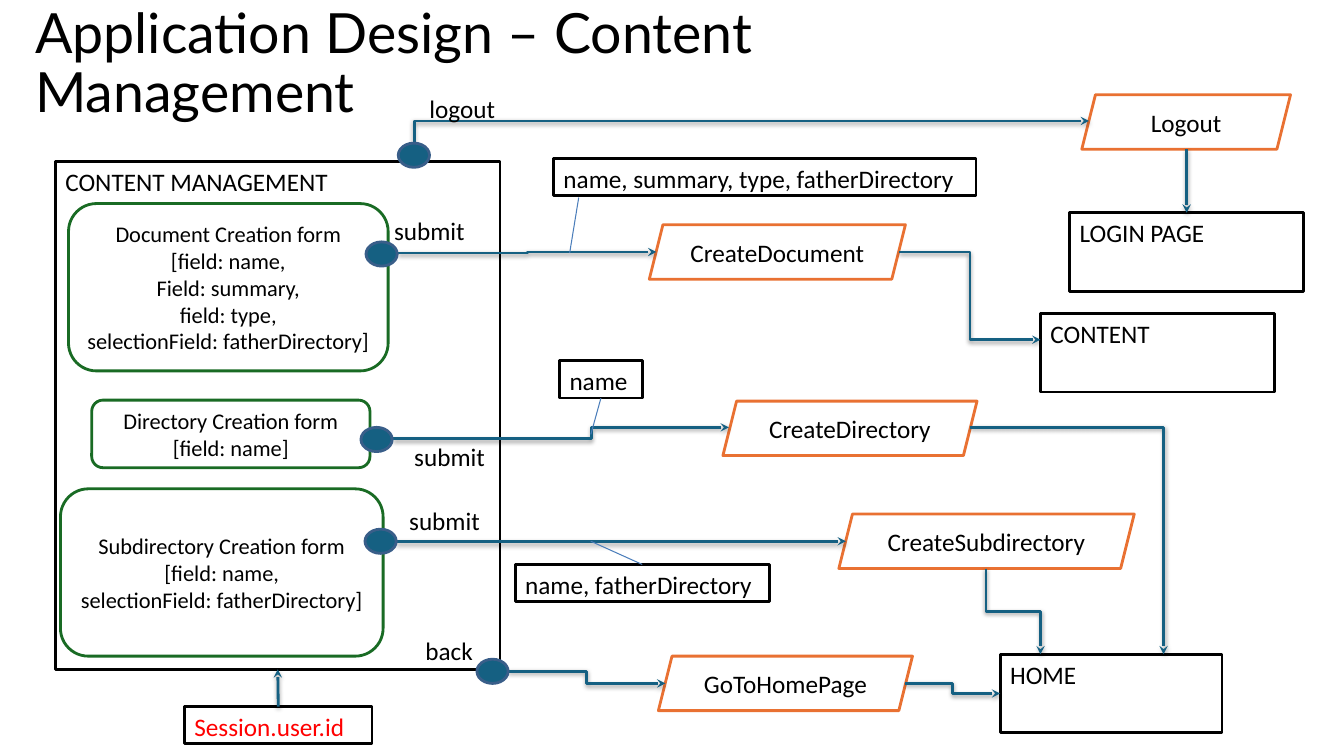
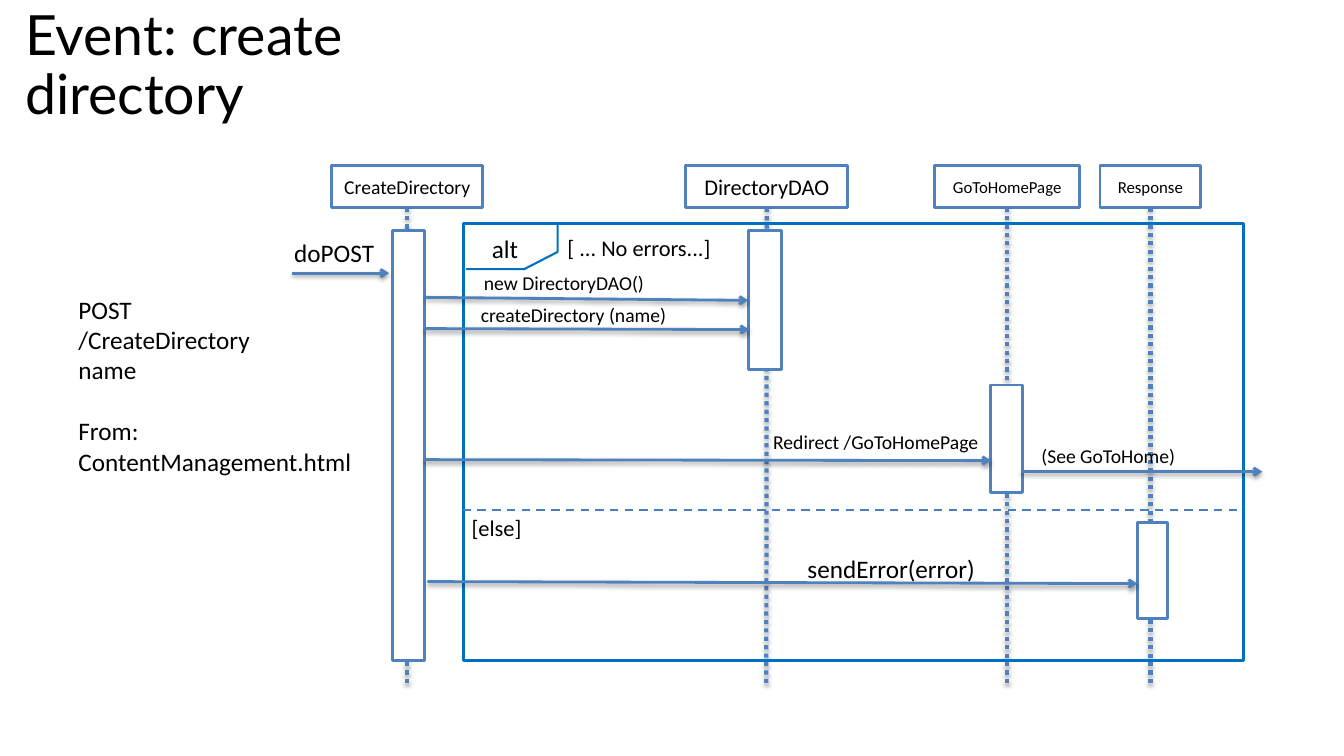
"""Build two design slides: the content management flow and the create directory sequence."""
import dataclasses

import lxml.etree
import pptx
import pptx.dml.color
import pptx.enum.dml
import pptx.enum.shapes
import pptx.enum.text
import pptx.oxml.ns
import pptx.util

PX = 9144
SHAPE = pptx.enum.shapes.MSO_SHAPE
CONNECTOR = pptx.enum.shapes.MSO_CONNECTOR
DASH = pptx.enum.dml.MSO_LINE
ALIGN = pptx.enum.text.PP_ALIGN
ANCHOR = pptx.enum.text.MSO_ANCHOR
TOP, LEFT, BOTTOM = 0, 1, 2


@dataclasses.dataclass(frozen=True)
class Theme:
    white: str = "FFFFFF"
    black: str = "000000"
    red: str = "FF0000"
    green: str = "196B24"
    orange: str = "E97132"
    teal: str = "156082"
    event_edge: str = "395E89"
    callout: str = "4A7DBA"
    blue: str = "4F81BD"
    divider: str = "4B7EBC"
    frame: str = "0070C0"
    title_font: str = "Lato"
    body_font: str = "Calibri"
    title: float = 39.6
    body: int = 18
    form: int = 16
    message: int = 14
    small: int = 12


theme = Theme()
rgb = pptx.dml.color.RGBColor.from_string


def add_text(slide, box, text="", kind=None, fill=None, edge=None, size=theme.body,
             color=theme.black, font=theme.body_font, centered=False, middle=False, spacing=None):
    frame = [value * PX for value in box]
    if kind is None:
        shape = slide.shapes.add_textbox(*frame)
    else:
        shape = slide.shapes.add_shape(kind, *frame)
        shape.shadow.inherit = False
        shape.line.color.rgb = rgb(edge)
        shape.line.width = pptx.util.Pt(2)
        if fill:
            shape.fill.solid()
            shape.fill.fore_color.rgb = rgb(fill)
        else:
            shape.fill.background()
    text_frame = shape.text_frame
    text_frame.word_wrap = True
    text_frame.vertical_anchor = ANCHOR.MIDDLE if middle else ANCHOR.TOP
    text_frame.text = text
    for paragraph in text_frame.paragraphs:
        paragraph.alignment = ALIGN.CENTER if centered else ALIGN.LEFT
        if spacing:
            paragraph.line_spacing = spacing
        for run in paragraph.runs:
            run.font.name = font
            run.font.size = pptx.util.Pt(size)
            run.font.color.rgb = rgb(color)
    return shape


def add_line(slide, start, end, color, width=2, route="straight", bend=50, arrow=None,
             dash=None, shadow=True):
    kind = CONNECTOR.STRAIGHT if route == "straight" else CONNECTOR.ELBOW
    connector = slide.shapes.add_connector(kind, *[value * PX for value in (*start, *end)])
    connector.line.color.rgb = rgb(color)
    connector.line.width = pptx.util.Pt(width)
    if dash:
        connector.line.dash_style = dash
    properties = connector.element.spPr
    qn = pptx.oxml.ns.qn
    add_child = lxml.etree.SubElement
    if arrow:
        add_child(properties.find(qn("a:ln")), qn("a:tailEnd"), type=arrow)
    effects = add_child(properties, qn("a:effectLst"))
    if shadow:
        outer = add_child(effects, qn("a:outerShdw"), blurRad="40000", dist="20000",
                          dir="5400000", rotWithShape="0")
        black = add_child(outer, qn("a:srgbClr"), val=theme.black)
        add_child(black, qn("a:alpha"), val="38000")
    geometry = properties.find(qn("a:prstGeom"))
    if route.startswith("corner"):
        geometry.set("prst", "bentConnector2")
    elif bend != 50:
        add_child(geometry.find(qn("a:avLst")), qn("a:gd"), name="adj1", fmla=f"val {bend * 1000}")
    if route.endswith("vertical"):
        across, down = end[0] - start[0], end[1] - start[1]
        center_x, center_y = (start[0] + end[0]) / 2, (start[1] + end[1]) / 2
        connector.left = int((center_x - abs(down) / 2) * PX)
        connector.top = int((center_y - abs(across) / 2) * PX)
        connector.width, connector.height = abs(down) * PX, abs(across) * PX
        transform = properties.find(qn("a:xfrm"))
        transform.set("rot", "5400000")
        transform.set("flipH", str(int(down < 0)))
        transform.set("flipV", str(int(across > 0)))
    return connector


presentation = pptx.Presentation()
presentation.slide_width = 1333 * PX
presentation.slide_height = 750 * PX
slides = []
for title, box in (
    ("Application Design – Content Management", (25, 22, 998, 85)),
    ("Event: create directory", (15, 21, 538, 91)),
):
    slide = presentation.slides.add_slide(presentation.slide_layouts[6])
    add_text(slide, box, title, size=theme.title, font=theme.title_font, middle=True, spacing=0.9)
    slides.append(slide)
flow, sequence = slides

pages = {}
for name, box in (
    ("CONTENT MANAGEMENT", (55, 160, 441, 504)),
    ("LOGIN PAGE", (1061, 211, 232, 78)),
    ("CONTENT", (1032, 311, 232, 78)),
    ("HOME", (992, 649, 220, 78)),
):
    pages[name] = add_text(flow, box, name, kind=SHAPE.RECTANGLE, fill=theme.white, edge=theme.black)

for text, box in (
    ("Document Creation form\n[field: name,\nField: summary,\nfield: type,\n"
     "selectionField: fatherDirectory]", (68, 202, 317, 166)),
    ("Directory Creation form\n[field: name]", (91, 397, 276, 67)),
    ("Subdirectory Creation form\n[field: name,\nselectionField: fatherDirectory]",
     (60, 485, 320, 166)),
):
    add_text(flow, box, text, kind=SHAPE.ROUNDED_RECTANGLE, fill=theme.white, edge=theme.green,
             size=theme.form, centered=True, middle=True)

for name, left, top, width in (
    ("Logout", 1073, 94, 207),
    ("CreateDocument", 644, 223, 254),
    ("CreateDirectory", 717, 398, 252),
    ("CreateSubdirectory", 832, 510, 293),
    ("GoToHomePage", 653, 651, 252),
):
    add_text(flow, (left, top, width, 54), name, kind=SHAPE.PARALLELOGRAM, fill=theme.white,
             edge=theme.orange, centered=True, middle=True)

parameters = {}
for name, left, top, width, color in (
    ("name, summary, type, fatherDirectory", 549, 157, 419, theme.black),
    ("name", 555, 358, 82, theme.black),
    ("name, fatherDirectory", 511, 560, 252, theme.black),
    ("Session.user.id", 183, 701, 186, theme.red),
):
    parameters[name] = add_text(flow, (left, top, width, 37), name, kind=SHAPE.RECTANGLE,
                                fill=theme.white, edge=theme.black, color=color)

for start, end, route, bend in (
    ((411, 142), (1080, 120), "corner vertical", 50),
    ((395, 251), (651, 250), "elbow", 50),
    ((892, 250), (1032, 337), "elbow", 50),
    ((390, 435), (723, 424), "elbow", 59),
    ((962, 424), (1154, 649), "corner", 50),
    ((393, 537), (839, 537), "straight", 50),
    ((978, 564), (1032, 649), "elbow vertical", 50),
    ((504, 666), (660, 678), "elbow", 50),
    ((898, 678), (992, 688), "elbow", 50),
):
    add_line(flow, start, end, theme.teal, route=route, bend=bend, arrow="stealth")

login_arrow = add_line(flow, (1177, 148), (1177, 211), theme.teal, arrow="stealth")
login_arrow.end_connect(pages["LOGIN PAGE"], TOP)
session_arrow = add_line(flow, (276, 701), (276, 664), theme.teal, arrow="stealth")
session_arrow.begin_connect(parameters["Session.user.id"], TOP)
session_arrow.end_connect(pages["CONTENT MANAGEMENT"], BOTTOM)

for name, start, end, side in (
    ("name, summary, type, fatherDirectory", (574, 196), (565, 251), None),
    ("name", (596, 395), (586, 431), BOTTOM),
    ("name, fatherDirectory", (637, 560), (586, 537), TOP),
):
    callout = add_line(flow, start, end, theme.callout, width=0.75, shadow=False)
    if side is not None:
        callout.begin_connect(parameters[name], side)

for label, event_left, event_top, label_left, label_top in (
    ("logout", 395, 142, 416, 88),
    ("submit", 363, 240, 381, 209),
    ("submit", 358, 424, 401, 433),
    ("submit", 362, 525, 396, 496),
    ("back", 473, 654, 412, 625),
):
    add_text(flow, (event_left, event_top, 31, 24), kind=SHAPE.OVAL, fill=theme.teal,
             edge=theme.event_edge)
    add_text(flow, (label_left, label_top, 91, 30), label)

activations = {}
for name, left, width, size, bar in (
    ("CreateDirectory", 329, 150, theme.message, (389, 229, 32, 426)),
    ("DirectoryDAO", 680, 161, theme.form, (742, 229, 33, 138)),
    ("GoToHomePage", 927, 144, theme.small, (982, 382, 32, 107)),
    ("Response", 1091, 100, theme.small, (1128, 518, 30, 96)),
):
    header = add_text(sequence, (left, 164, width, 42), name, kind=SHAPE.RECTANGLE,
                      fill=theme.white, edge=theme.blue, size=size, centered=True, middle=True)
    center = left + width // 2
    lifeline = add_line(sequence, (center, 206), (center, 681), theme.blue, width=3,
                        dash=DASH.ROUND_DOT)
    lifeline.begin_connect(header, BOTTOM)
    activations[name] = add_text(sequence, bar, kind=SHAPE.RECTANGLE, fill=theme.white,
                                 edge=theme.blue)

add_text(sequence, (460, 222, 773, 433), kind=SHAPE.RECTANGLE, edge=theme.frame)
add_line(sequence, (459, 506), (1233, 506), theme.divider, width=1.5, dash=DASH.DASH, shadow=False)
builder = sequence.shapes.build_freeform(462, 267, scale=PX)
builder.add_line_segments([(520, 267), (553, 250), (553, 223)], close=False)
alt_tab = builder.convert_to_shape()
alt_tab.shadow.inherit = False
alt_tab.fill.background()
alt_tab.line.color.rgb = rgb(theme.frame)
alt_tab.line.width = pptx.util.Pt(1.5)

for start, end, target in (
    ((290, 271), (386, 271), None),
    ((422, 295), (742, 298), "DirectoryDAO"),
    ((421, 326), (743, 327), None),
    ((421, 456), (983, 457), None),
    ((1013, 468), (1252, 468), None),
    ((424, 577), (1128, 579), None),
):
    message = add_line(sequence, start, end, theme.blue, arrow="arrow")
    if target:
        message.end_connect(activations[target], LEFT)

for text, box, size in (
    ("doPOST", (282, 231, 106, 40), theme.body),
    ("alt", (478, 227, 60, 40), theme.body),
    ("[ ... No errors...]", (553, 227, 164, 37), theme.form),
    ("[else]", (458, 505, 80, 37), theme.form),
    ("new DirectoryDAO()", (470, 264, 245, 34), theme.message),
    ("createDirectory (name)", (467, 296, 245, 34), theme.message),
    ("Redirect /GoToHomePage", (757, 422, 232, 34), theme.message),
    ("(See GoToHome)", (1023, 436, 163, 34), theme.message),
    ("sendError(error)", (791, 544, 188, 40), theme.body),
):
    add_text(sequence, box, text, size=size)

request = add_text(sequence, (68, 287, 304, 192),
                   "POST\n/CreateDirectory\nname\nFrom: ContentManagement.html")
request.text_frame.paragraphs[-1].space_before = pptx.util.Pt(22)

presentation.save("out.pptx")
